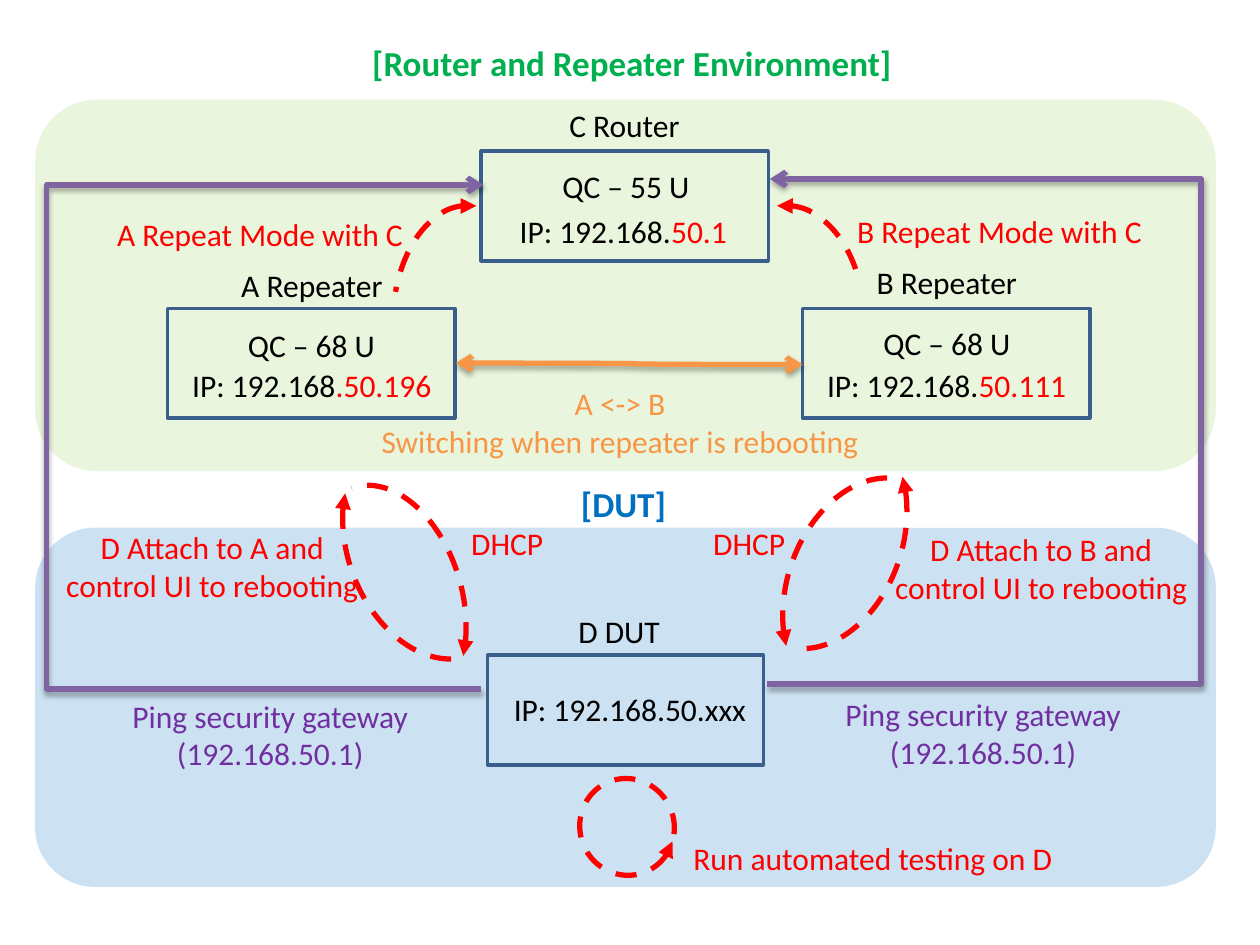
from dataclasses import dataclass

import pptx
import pptx.dml.color
import pptx.enum.dml
import pptx.enum.shapes
import pptx.enum.text
import pptx.oxml
import pptx.oxml.ns
import pptx.util
from pptx.util import Cm

SHAPE = pptx.enum.shapes.MSO_SHAPE
CONNECTOR = pptx.enum.shapes.MSO_CONNECTOR


@dataclass(frozen=True)
class Theme:
    font: str = "Calibri"
    title_size: int = 20
    body_size: int = 18
    box_line: int = 2
    arrow_line: int = 3
    black: str = "000000"
    red: str = "FF0000"
    green: str = "00B050"
    blue: str = "0070C0"
    purple: str = "7030A0"
    orange: str = "F79646"
    router_zone: str = "92D050"
    outline: str = "3A5F8C"
    ping_line: str = "8064A2"


def add_xml(parent, tag, content="", **attributes):
    values = "".join(f' {name}="{value}"' for name, value in attributes.items())
    namespace = pptx.oxml.ns.nsdecls("a")
    parent.append(pptx.oxml.parse_xml(f"<a:{tag} {namespace}{values}>{content}</a:{tag}>"))


def rgb(color):
    return pptx.dml.color.RGBColor.from_string(color)


class Diagram:
    def __init__(self, slide, theme):
        self.slide = slide
        self.theme = theme

    def shape(self, preset, left, top, width, height):
        shape = self.slide.shapes.add_shape(preset, Cm(left), Cm(top), Cm(width), Cm(height))
        shape.shadow.inherit = False
        return shape

    def stroke(self, shape, color, width):
        shape.line.color.rgb = rgb(color)
        shape.line.width = pptx.util.Pt(width)

    def zone(self, top, height, color):
        """Draw a full-width rounded area in a 20 % tint."""
        shape = self.shape(SHAPE.ROUNDED_RECTANGLE, 0.71, top, 23.8, height)
        shape.fill.solid()
        shape.fill.fore_color.rgb = rgb(color)
        add_xml(shape.fill.fore_color._xFill[0], "alpha", val=20000)
        shape.line.fill.background()

    def box(self, left, top, width=5.79):
        shape = self.shape(SHAPE.RECTANGLE, left, top, width, 2.21)
        shape.fill.background()
        self.stroke(shape, self.theme.outline, self.theme.box_line)

    def text(self, left, top, width, text, color=None, accent="", title=False):
        """Add centred lines; accent is a red ending of the last line."""
        size = self.theme.title_size if title else self.theme.body_size
        lines = text.split("\n")
        height = 0.25 + len(lines) * size * 0.043
        shape = self.slide.shapes.add_textbox(Cm(left), Cm(top), Cm(width), Cm(height))
        frame = shape.text_frame
        frame.word_wrap = True
        frame.text = text
        for paragraph in frame.paragraphs:
            paragraph.alignment = pptx.enum.text.PP_ALIGN.CENTER
            for run in paragraph.runs:
                self.format(run, size, color or self.theme.black, title)
        if accent:
            run = frame.paragraphs[-1].add_run()
            run.text = accent
            self.format(run, size, self.theme.red, title)

    def format(self, run, size, color, bold):
        run.font.name = self.theme.font
        run.font.size = pptx.util.Pt(size)
        run.font.bold = bold
        run.font.color.rgb = rgb(color)

    def arc(self, left, top, width, height, start, end, rotation=0, flip=False):
        """Draw a dashed arc with its arrowhead at the start; angles in degrees."""
        shape = self.shape(SHAPE.ARC, left, top, width, height)
        for index, angle in enumerate((start, end)):
            shape.adjustments[index] = angle * 0.6
        shape.rotation = rotation
        if flip:
            shape.element.spPr.xfrm.set("flipH", "1")
        shape.fill.background()
        self.stroke(shape, self.theme.red, self.theme.arrow_line)
        shape.line.dash_style = pptx.enum.dml.MSO_LINE.DASH
        add_xml(shape.line._get_or_add_ln(), "headEnd", type="triangle")

    def connector(self, kind, start, end, middle, color, both_ends=False):
        """Join two points by way of the vertical at x = middle."""
        connector = self.slide.shapes.add_connector(kind, *map(Cm, start + end))
        self.stroke(connector, color, self.theme.arrow_line)
        line = connector.line._get_or_add_ln()
        if both_ends:
            add_xml(line, "headEnd", type="arrow")
        add_xml(line, "tailEnd", type="arrow")
        bend = round((middle - start[0]) / (end[0] - start[0]) * 100000)
        properties = connector._element.spPr
        guides = properties.find(pptx.oxml.ns.qn("a:prstGeom")).find(pptx.oxml.ns.qn("a:avLst"))
        add_xml(guides, "gd", name="adj1", fmla=f"val {bend}")
        shadow = (
            '<a:outerShdw blurRad="40000" dist="23000" dir="5400000" rotWithShape="0">'
            '<a:srgbClr val="000000"><a:alpha val="35000"/></a:srgbClr></a:outerShdw>'
        )
        add_xml(properties, "effectLst", shadow)


def draw_router_zone(diagram):
    theme = diagram.theme
    diagram.zone(2.01, 7.49, theme.router_zone)
    diagram.text(7.09, 0.71, 11.3, "[Router and Repeater Environment]", theme.green, title=True)

    diagram.box(9.7, 3.05)
    diagram.text(10.8, 2.01, 3.58, "C Router")
    diagram.text(9.8, 3.25, 5.64, "QC – 55 U")
    diagram.text(10.19, 4.14, 4.75, "IP: 192.168.", accent="50.1")

    diagram.box(3.38, 6.22)
    diagram.text(4.5, 5.23, 3.58, "A Repeater")
    diagram.text(3.78, 6.45, 5, "QC – 68 U")
    diagram.text(3.58, 7.26, 5.41, "IP: 192.168", accent=".50.196")

    diagram.box(16.18, 6.22)
    diagram.text(17.3, 5.18, 3.58, "B Repeater")
    diagram.text(16.59, 6.4, 5, "QC – 68 U")
    diagram.text(16.38, 7.26, 5.41, "IP: 192.168.", accent="50.111")

    diagram.text(1.98, 4.22, 6.53, "A Repeat Mode with C", theme.red)
    diagram.text(16.99, 4.14, 6.32, "B Repeat Mode with C", theme.red)
    diagram.arc(7.92, 4.14, 3.07, 4.75, 266.35, 336.93, flip=True)
    diagram.arc(14.2, 4.14, 3.23, 4.75, 266.35, 331.88)

    diagram.connector(CONNECTOR.CURVE, (9.19, 7.32), (16.18, 7.35), 12.83,
                      theme.orange, both_ends=True)
    diagram.text(6.2, 7.62, 12.6, "A <-> B\nSwitching when repeater is rebooting", theme.orange)


def draw_dut_zone(diagram):
    theme = diagram.theme
    diagram.zone(10.64, 7.24, theme.blue)
    diagram.text(9.27, 9.6, 6.6, "[DUT]", theme.blue, title=True)
    diagram.box(9.83, 13.21, 5.56)
    diagram.text(10.69, 12.22, 3.58, "D DUT")
    diagram.text(9.6, 13.79, 6.2, "IP: 192.168.50.xxx")

    for name, left, top in (("A", 0.89, 10.52), ("B", 17.6, 10.57)):
        diagram.text(left, top, 6.78, f"D Attach to {name} and\ncontrol UI to rebooting", theme.red)
    for left in (9.22, 14.1):
        diagram.text(left, 10.44, 2.01, "DHCP", theme.red)

    diagram.arc(7.01, 8.61, 3.33, 4.75, 308.6, 82.25, 339.8, flip=True)
    diagram.arc(6.25, 9.73, 3.07, 4.75, 308.6, 91.44, 164.3, flip=True)
    diagram.arc(14.83, 8.38, 3.38, 4.75, 308.28, 83.86, 17.4)
    diagram.arc(15.85, 9.58, 3.38, 4.75, 310.46, 83.08, 197.4)

    diagram.arc(11.66, 15.72, 1.96, 1.9, 308.6, 307.19, 69.1)
    diagram.text(12.73, 16.79, 9.73, "Run automated testing on D", theme.red)


def draw_pings(diagram):
    theme = diagram.theme
    for left, top in ((2.06, 13.92), (16.43, 13.89)):
        diagram.text(left, top, 6.78, "Ping security gateway\n(192.168.50.1)", theme.purple)
    diagram.connector(CONNECTOR.ELBOW, (15.47, 13.79), (15.52, 3.61), 24.21, theme.ping_line)
    diagram.connector(CONNECTOR.ELBOW, (9.7, 13.89), (9.75, 3.73), 0.94, theme.ping_line)


def main():
    presentation = pptx.Presentation()
    presentation.slide_width = Cm(25.4)
    presentation.slide_height = Cm(19.05)
    slide = presentation.slides.add_slide(presentation.slide_layouts[6])
    diagram = Diagram(slide, Theme())
    draw_router_zone(diagram)
    draw_dut_zone(diagram)
    draw_pings(diagram)
    presentation.save("out.pptx")


if __name__ == "__main__":
    main()
